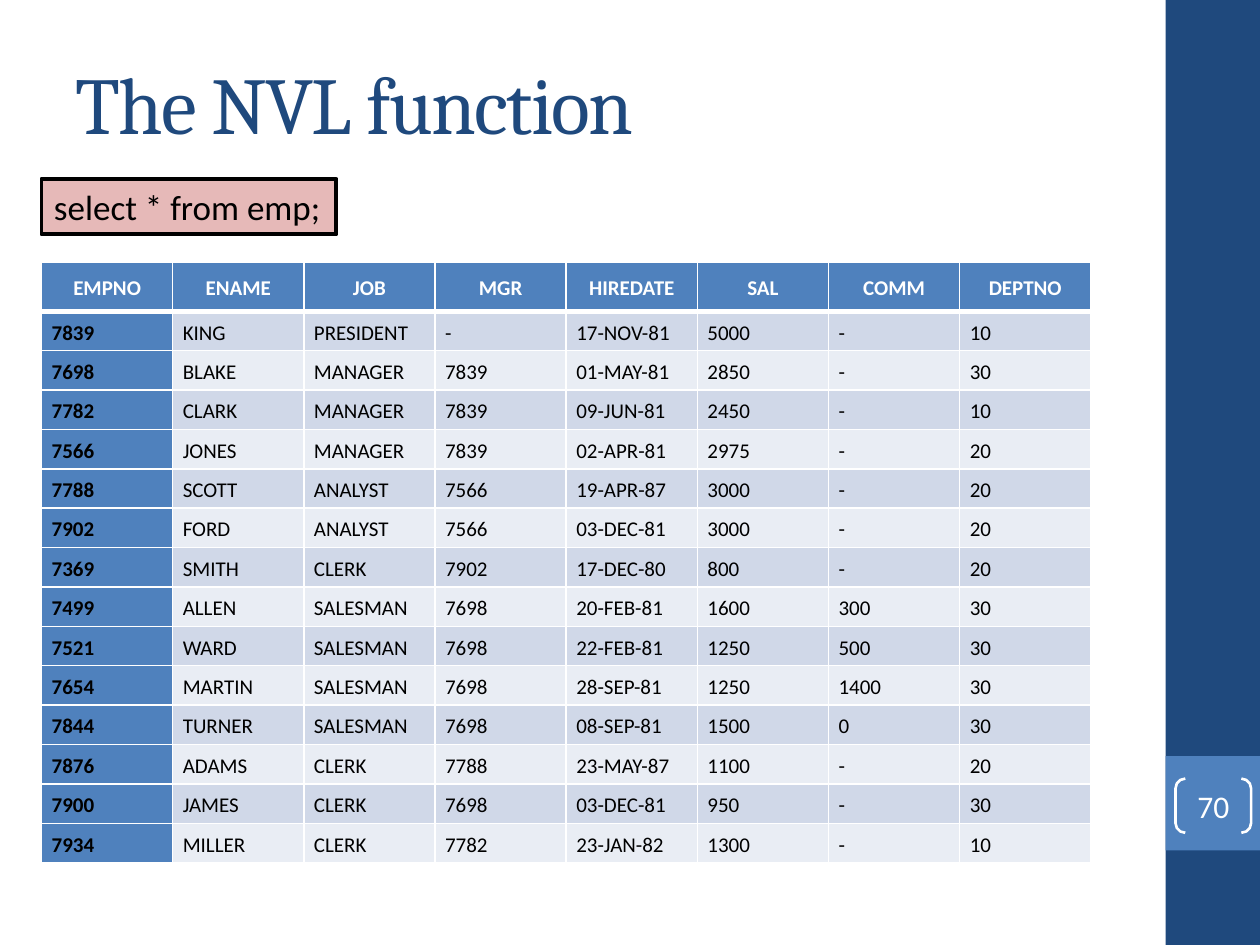
from pptx import Presentation
from pptx import util as u
from pptx.dml.color import RGBColor
from pptx.enum import shapes, text
from pptx.oxml import parse_xml
from pptx.oxml.ns import nsdecls

HUES = {"navy": "1F497D", "blue": "4F81BD", "white": "FFFFFF", "black": "000000",
        "pink": "E6B9B8", "dark": "D0D8E8", "light": "E9EDF4"}
HEADS = "EMPNO ENAME JOB MGR HIREDATE SAL COMM DEPTNO".split()
STAFF = [line.split() for line in """\
7839 KING PRESIDENT - 17-NOV-81 5000 - 10
7698 BLAKE MANAGER 7839 01-MAY-81 2850 - 30
7782 CLARK MANAGER 7839 09-JUN-81 2450 - 10
7566 JONES MANAGER 7839 02-APR-81 2975 - 20
7788 SCOTT ANALYST 7566 19-APR-87 3000 - 20
7902 FORD ANALYST 7566 03-DEC-81 3000 - 20
7369 SMITH CLERK 7902 17-DEC-80 800 - 20
7499 ALLEN SALESMAN 7698 20-FEB-81 1600 300 30
7521 WARD SALESMAN 7698 22-FEB-81 1250 500 30
7654 MARTIN SALESMAN 7698 28-SEP-81 1250 1400 30
7844 TURNER SALESMAN 7698 08-SEP-81 1500 0 30
7876 ADAMS CLERK 7788 23-MAY-87 1100 - 20
7900 JAMES CLERK 7698 03-DEC-81 950 - 30
7934 MILLER CLERK 7782 23-JAN-82 1300 - 10""".splitlines()]


def hue(name):
    """Return the named colour."""
    return RGBColor.from_string(HUES[name])


def write(frame, words, size=12, font="Calibri", color="black", bold=False,
          align="LEFT", lead=None, track=None):
    """Put one formatted paragraph into a text frame."""
    para = frame.paragraphs[0]
    para.alignment = getattr(text.PP_ALIGN, align)
    para.line_spacing = lead
    run = para.add_run()
    run.text = words
    run.font.size, run.font.name, run.font.bold = u.Pt(size), font, bold
    run.font.color.rgb = hue(color)
    if track is not None:
        run.font._element.set("spc", str(track * 100))


def shape(slide, kind, box, fill=None, line=None, width=1):
    """Add a flat preset shape in the given box."""
    item = slide.shapes.add_shape(kind, *map(u.Inches, box))
    item.shadow.inherit = False
    if fill:
        item.fill.solid()
        item.fill.fore_color.rgb = hue(fill)
    else:
        item.fill.background()
    if line:
        item.line.color.rgb = hue(line)
        item.line.width = u.Pt(width)
    else:
        item.line.fill.background()
    return item


def side(slide, box, page):
    """Draw the side band with its page number."""
    left, top, wide, high = box
    rect = shapes.MSO_SHAPE.RECTANGLE
    shape(slide, rect, box, "navy")
    shape(slide, rect, (left, top + high * 0.8, wide, wide), "blue")
    pair = shape(slide, shapes.MSO_SHAPE.DOUBLE_BRACKET,
                 (left + 0.08, top + high * 0.8 + 0.18, 0.6, 0.43),
                 line="white", width=1.5)
    pair.adjustments[0] = 0.18
    frame = pair.text_frame
    frame.margin_left = frame.margin_right = frame.margin_top = frame.margin_bottom = 0
    frame.vertical_anchor = text.MSO_ANCHOR.MIDDLE
    write(frame, page, size=18, color="white", align="CENTER")


def head(slide, box, words):
    """Place and format the title."""
    title = slide.shapes.title
    title.left, title.top, title.width, title.height = map(u.Inches, box)
    title.text_frame.vertical_anchor = text.MSO_ANCHOR.MIDDLE
    write(title.text_frame, words, size=46, font="Cambria", color="navy", track=-1)


def query(slide, box, words):
    """Show the statement in a framed box."""
    item = shape(slide, shapes.MSO_SHAPE.RECTANGLE, box, "pink", "black", 2.25)
    frame = item.text_frame
    frame.word_wrap = False
    frame.auto_size = text.MSO_AUTO_SIZE.SHAPE_TO_FIT_TEXT
    frame.vertical_anchor = text.MSO_ANCHOR.TOP
    write(frame, words, size=20)


def edge(cell, **widths):
    """Give a cell white borders of the given point widths."""
    props = cell._tc.get_or_add_tcPr()
    for spot, tag in enumerate(("lnL", "lnR", "lnT", "lnB")):
        props.insert(spot, parse_xml(
            f'<a:{tag} {nsdecls("a")} w="{u.Pt(widths.get(tag, 1))}"><a:solidFill>'
            f'<a:srgbClr val="{HUES["white"]}"/></a:solidFill></a:{tag}>'))


def fill_cell(cell, words, row, col):
    """Format one cell by its place in the grid."""
    top = row == 0
    band = "dark" if row % 2 else "light"
    cell.fill.solid()
    cell.fill.fore_color.rgb = hue("blue" if top or col == 0 else band)
    cell.margin_left = cell.margin_right = u.Inches(0.08)
    cell.margin_top = cell.margin_bottom = u.Inches(0.08 if top else 0.04)
    cell.vertical_anchor = text.MSO_ANCHOR.BOTTOM if top else text.MSO_ANCHOR.MIDDLE
    write(cell.text_frame, words, color="white" if top else "black",
          bold=top or col == 0, align="CENTER" if top else "LEFT", lead=1.15)
    edge(cell, lnB=3 if top else 1, lnT=3 if row == 1 else 1)


def grid(slide, box, rows):
    """Build the staff table in the given box."""
    table = slide.shapes.add_table(len(rows), len(rows[0]), *map(u.Inches, box)).table
    first = 0.39
    rest = (box[3] - first) / (len(rows) - 1)
    for row, words in enumerate(rows):
        table.rows[row].height = u.Inches(rest if row else first)
        for col, word in enumerate(words):
            fill_cell(table.cell(row, col), word, row, col)


def main():
    """Build and save the slide."""
    deck = Presentation()
    deck.slide_width, deck.slide_height = u.Inches(10), u.Inches(7.5)
    slide = deck.slides.add_slide(deck.slide_layouts[5])
    side(slide, (9.25, 0, 0.75, 7.5), "70")
    head(slide, (0.5, 0.3, 8.33, 1.03), "The NVL function")
    query(slide, (0.33, 1.42, 2.34, 0.44), "select * from emp;")
    grid(slide, (0.33, 2.08, 8.33, 4.77), [HEADS] + STAFF)
    deck.save("out.pptx")


if __name__ == "__main__":
    main()
